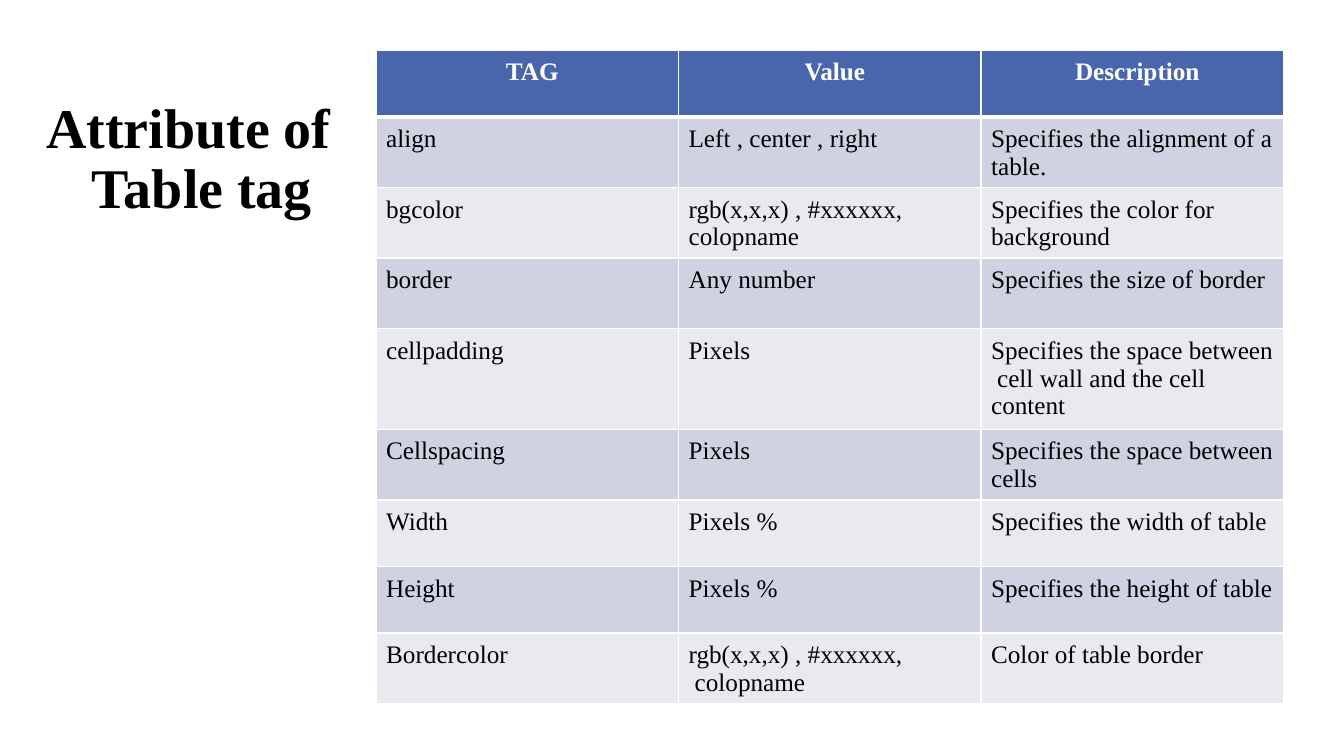
from lxml import etree
from pptx import Presentation
from pptx import util as u
from pptx.dml.color import RGBColor
from pptx.enum import text
from pptx.oxml import ns

FONT = "Times New Roman"
BLACK = RGBColor(0x00, 0x00, 0x00)
WHITE = RGBColor(0xFF, 0xFF, 0xFF)
HEADER_BLUE = RGBColor(0x49, 0x66, 0xAC)
BAND_DARK = RGBColor(0xD0, 0xD2, 0xE2)
BAND_LIGHT = RGBColor(0xE9, 0xEA, 0xF0)

HEADINGS = ("TAG", "Value", "Description")
ATTRIBUTES = [
    ("align", "Left , center , right", "Specifies the alignment of a\ntable."),
    ("bgcolor", "rgb(x,x,x) , #xxxxxx,\ncolopname", "Specifies the color for\nbackground"),
    ("border", "Any number", "Specifies the size of border"),
    ("cellpadding", "Pixels", "Specifies the space between\n cell wall and the cell\ncontent"),
    ("Cellspacing", "Pixels", "Specifies the space between\ncells"),
    ("Width", "Pixels %", "Specifies the width of table"),
    ("Height", "Pixels %", "Specifies the height of table"),
    ("Bordercolor", "rgb(x,x,x) , #xxxxxx,\n colopname", "Color of table border"),
]
ROW_HEIGHTS = (0.66, 0.7, 0.7, 0.7, 1, 0.7, 0.66, 0.66, 0.7)


def add_span(para, words, size, color, bold):
    """Add one styled run to a paragraph."""
    span = para.add_run()
    span.text = words
    span.font.name = FONT
    span.font.size = u.Pt(size)
    span.font.bold = bold
    span.font.color.rgb = color


def indent(para, inches):
    """Set the left indent of a paragraph."""
    para._p.get_or_add_pPr().set("marL", str(u.Inches(inches)))


def set_border(cell, side, points):
    """Draw one white cell border."""
    line = etree.SubElement(cell._tc.get_or_add_tcPr(), ns.qn(f"a:ln{side}"), w=str(u.Pt(points)))
    fill = etree.SubElement(line, ns.qn("a:solidFill"))
    etree.SubElement(fill, ns.qn("a:srgbClr"), val=str(WHITE))


def fill_cell(cell, words, row):
    """Style one table cell and write its lines."""
    header = row == 0
    for side in "LRTB":
        thick = (side == "B" and header) or (side == "T" and row == 1)
        set_border(cell, side, 3 if thick else 1)
    cell.fill.solid()
    cell.fill.fore_color.rgb = HEADER_BLUE if header else BAND_DARK if row % 2 else BAND_LIGHT
    cell.margin_left = u.Inches(0.1)
    cell.margin_top = u.Inches(0.08)
    cell.margin_right = cell.margin_bottom = 0
    frame = cell.text_frame
    for index, line in enumerate(words.split("\n")):
        para = frame.add_paragraph() if index else frame.paragraphs[0]
        para.alignment = text.PP_ALIGN.CENTER if header else text.PP_ALIGN.LEFT
        if line.startswith(" "):
            indent(para, 0.06)
        add_span(para, line.strip(), 18, WHITE if header else BLACK, header)


def add_title(page, left, top, width, height):
    """Place the two-line slide title in the given box."""
    box = page.shapes.add_textbox(*map(u.Inches, (left, top, width, height)))
    frame = box.text_frame
    frame.word_wrap = True
    frame.vertical_anchor = text.MSO_ANCHOR.TOP
    frame.margin_left = frame.margin_right = frame.margin_bottom = 0
    frame.margin_top = u.Inches(0.1)
    for index, (line, offset) in enumerate((("Attribute of", 0.01), ("Table tag", 0.46))):
        para = frame.add_paragraph() if index else frame.paragraphs[0]
        indent(para, offset)
        para.line_spacing = u.Pt(42.3)
        add_span(para, line, 40, BLACK, True)


def add_attribute_table(page, left, top, width):
    """Place the table of attributes, with equal columns, in the given box."""
    rows = [HEADINGS, *ATTRIBUTES]
    box = map(u.Inches, (left, top, width, sum(ROW_HEIGHTS)))
    table = page.shapes.add_table(len(rows), len(HEADINGS), *box).table
    for column in table.columns:
        column.width = u.Inches(width / len(HEADINGS))
    for row, (entries, height) in enumerate(zip(rows, ROW_HEIGHTS)):
        table.rows[row].height = u.Inches(height)
        for column, words in enumerate(entries):
            fill_cell(table.cell(row, column), words, row)


def main():
    """Build and save the slide."""
    deck = Presentation()
    deck.slide_width, deck.slide_height = u.Inches(13.33), u.Inches(7.5)
    page = deck.slides.add_slide(deck.slide_layouts[6])
    add_title(page, 0.45, 0.9, 2.85, 1.28)
    add_attribute_table(page, 3.73, 0.5, 9)
    deck.save("out.pptx")


if __name__ == "__main__":
    main()
